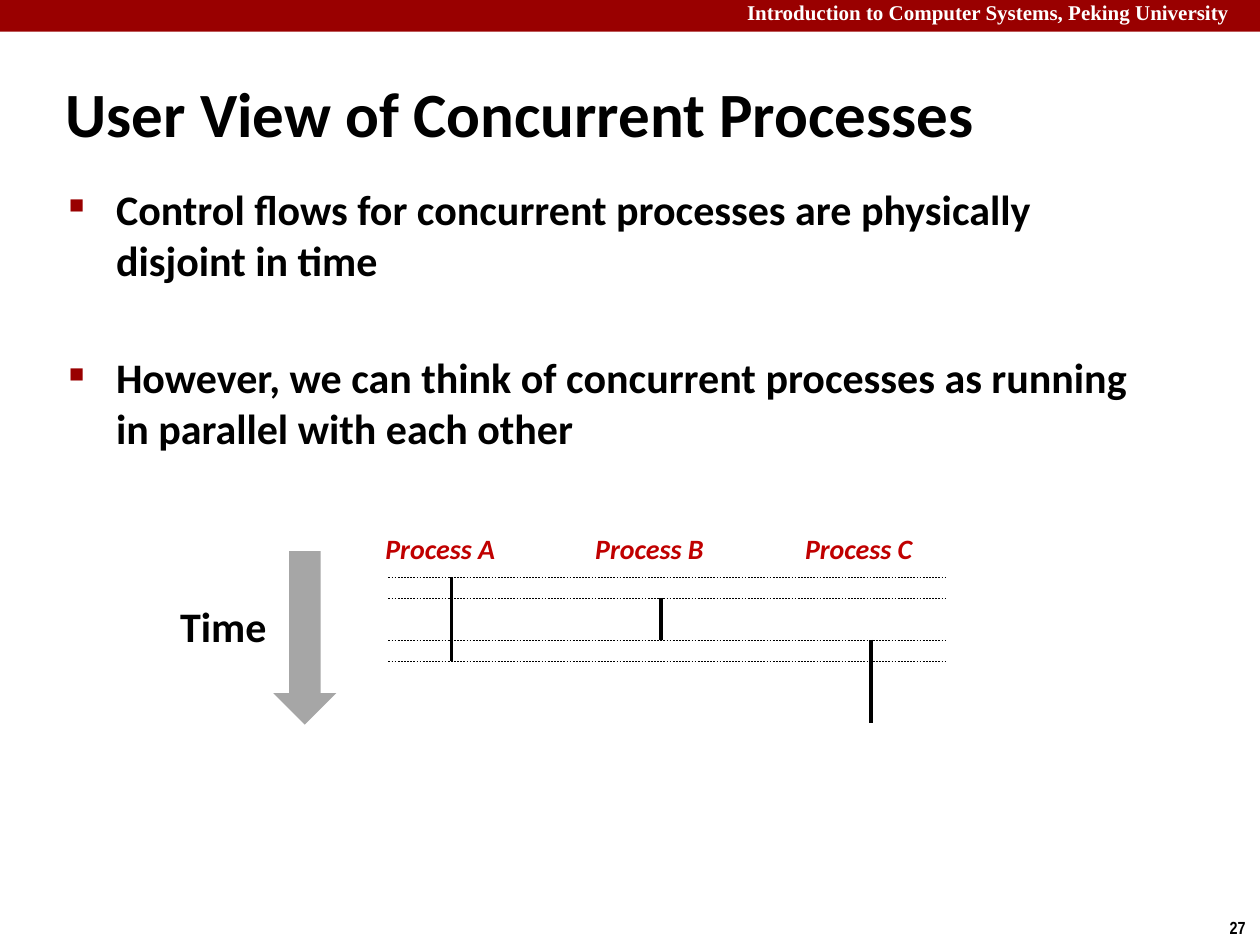
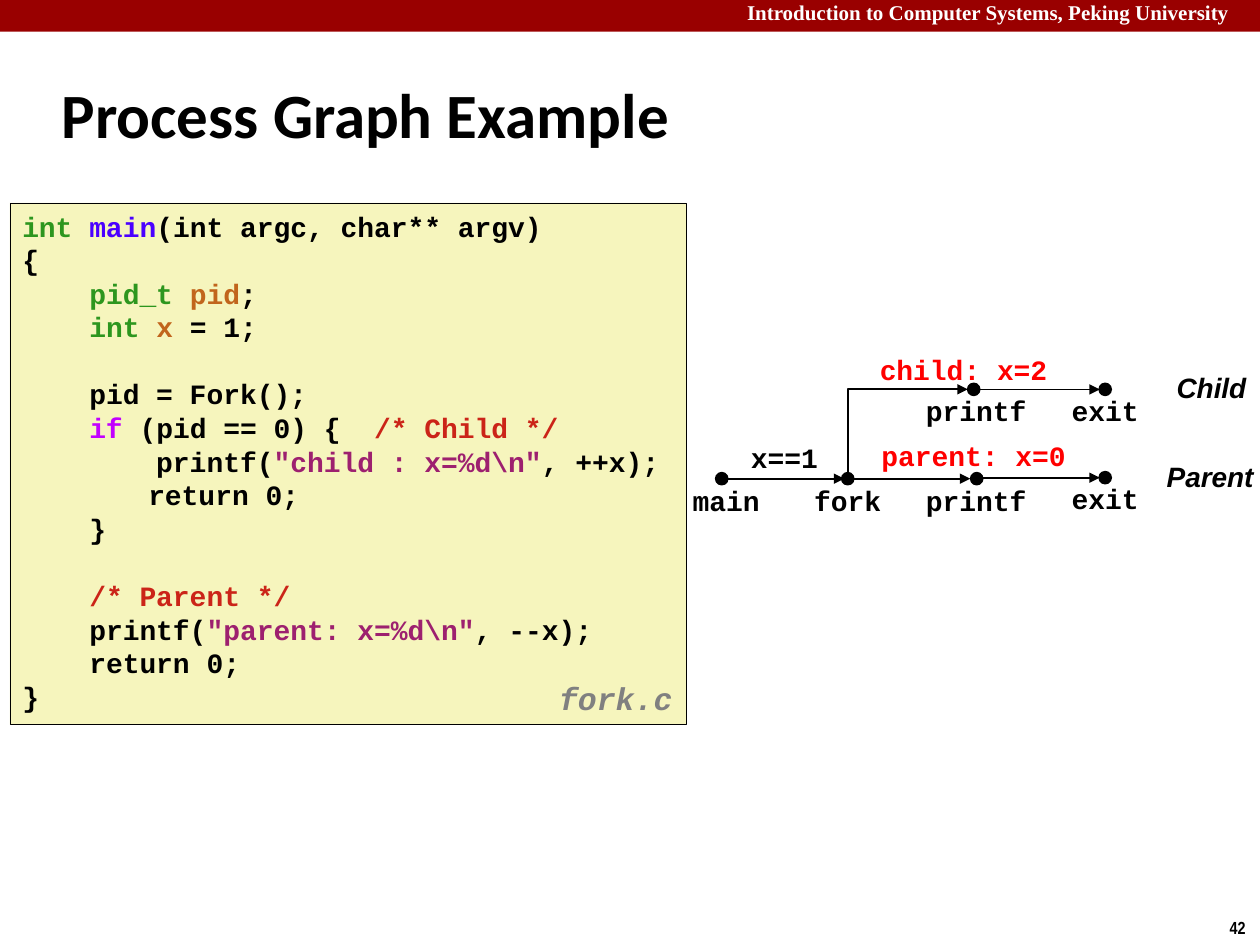
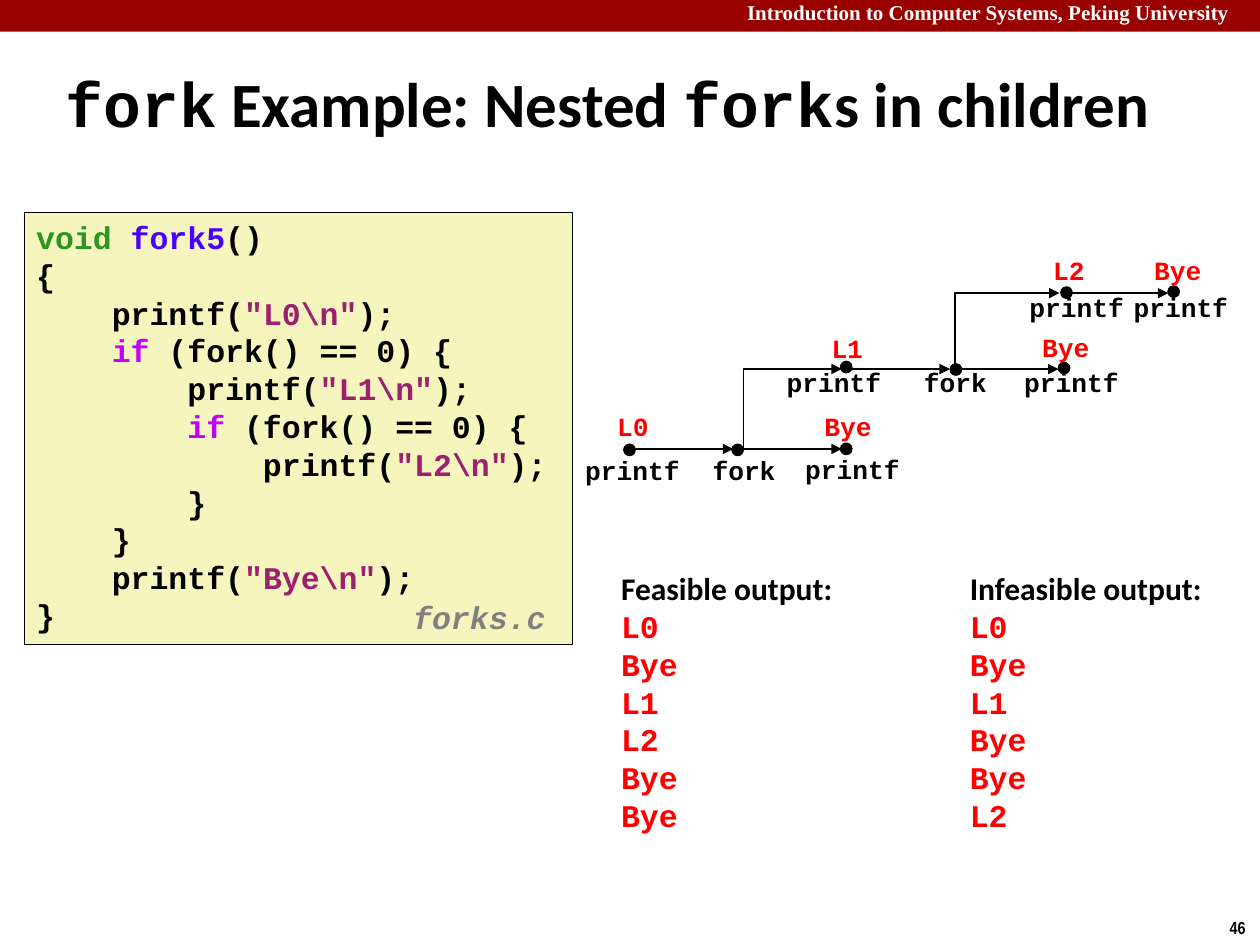
from typing import NamedTuple, Sequence

from lxml import etree
from pptx import Presentation
from pptx import util as u
from pptx.dml import color as dml_color
from pptx.enum import dml, shapes, text
from pptx.oxml import ns

BLACK, WHITE, RED, DARK_RED = "000000", "FFFFFF", "FF0000", "990000"
LABEL_RED, ARROW_GRAY, FILE_GRAY, CODE_FILL = "C00000", "A6A6A6", "808080", "F6F5BD"
TYPE, NAME, VARIABLE = "2D961E", "4A00FF", "C1651C"
KEYWORD, REMARK, STRING = "C200FF", "CB2418", "9D206F"
SANS, MONO, ARIAL = "Calibri", "Courier New", "Arial"
HEADER = "Introduction to Computer Systems, Peking University"


class Box(NamedTuple):
    left: float
    top: float
    width: float
    height: float

    def lengths(self) -> list:
        return [u.Cm(value) for value in self]


class Run(NamedTuple):
    text: str
    color: str = BLACK
    font: str = ""


class Line(NamedTuple):
    runs: Sequence[Run]
    space_before: float = 0
    bullet: bool = False
    tab: float = 0


class Style(NamedTuple):
    size: float
    font: str = SANS
    italic: bool = False
    align: text.PP_ALIGN = text.PP_ALIGN.LEFT
    wrap: bool = False


class Label(NamedTuple):
    text: str
    left: float
    top: float
    width: float
    color: str = BLACK


class Dot(NamedTuple):
    x: float
    y: float


class Arrow(NamedTuple):
    x1: float
    y1: float
    x2: float
    y2: float
    bent: bool = False


def rgb(value: str) -> dml_color.RGBColor:
    return dml_color.RGBColor.from_string(value)


def add_element(parent, tag: str, **attributes: str):
    return etree.SubElement(parent, ns.qn(tag), attributes)


def write_lines(frame, lines: Sequence[Line], style: Style) -> None:
    for index, line in enumerate(lines):
        paragraph = frame.paragraphs[0] if index == 0 else frame.add_paragraph()
        paragraph.alignment = style.align
        properties = paragraph._p.get_or_add_pPr()
        if line.bullet:
            properties.set("marL", str(u.Cm(0.95)))
            properties.set("indent", str(-u.Cm(0.95)))
            color = add_element(properties, "a:buClr")
            add_element(color, "a:srgbClr", val=DARK_RED)
            add_element(properties, "a:buSzPct", val="50000")
            add_element(properties, "a:buChar", char="■")
        if line.tab:
            tabs = add_element(properties, "a:tabLst")
            add_element(tabs, "a:tab", pos=str(u.Cm(line.tab)), algn="l")
        if all((run.font or style.font) == MONO for run in line.runs):
            paragraph.line_spacing = u.Pt(1.2 * style.size)
        if line.space_before:
            paragraph.space_before = u.Pt(line.space_before)
        for part in line.runs:
            run = paragraph.add_run()
            run.text = part.text
            run.font.name = part.font or style.font
            run.font.size = u.Pt(style.size)
            run.font.bold = True
            run.font.italic = style.italic
            run.font.color.rgb = rgb(part.color)


def add_text(slide, box: Box, lines: Sequence[Line], style: Style) -> None:
    frame = slide.shapes.add_textbox(*box.lengths()).text_frame
    frame.word_wrap = style.wrap
    if not style.wrap:
        frame.auto_size = text.MSO_AUTO_SIZE.SHAPE_TO_FIT_TEXT
    write_lines(frame, lines, style)


def add_label(slide, label: Label, height: float, style: Style) -> None:
    box = Box(label.left, label.top, label.width, height)
    add_text(slide, box, [Line([Run(label.text, label.color)])], style)


def add_shape(slide, kind, box: Box, fill: str, line_width: float = 0):
    shape = slide.shapes.add_shape(kind, *box.lengths())
    shape.shadow.inherit = False
    shape.fill.solid()
    shape.fill.fore_color.rgb = rgb(fill)
    if line_width:
        shape.line.color.rgb = rgb(BLACK)
        shape.line.width = u.Pt(line_width)
    else:
        shape.line.fill.background()
    return shape


def style_connector(connector, width: float):
    connector.line.color.rgb = rgb(BLACK)
    connector.line.width = u.Pt(width)
    add_element(connector._element.spPr, "a:effectLst")
    return connector


def add_line(slide, x1: float, y1: float, x2: float, y2: float, width: float):
    ends = [u.Cm(value) for value in (x1, y1, x2, y2)]
    connector = slide.shapes.add_connector(shapes.MSO_CONNECTOR.STRAIGHT, *ends)
    return style_connector(connector, width)


def add_up_then_right(slide, arrow: Arrow, width: float):
    center_x, center_y = (arrow.x1 + arrow.x2) / 2, (arrow.y1 + arrow.y2) / 2
    half_rise, half_run = (arrow.y1 - arrow.y2) / 2, (arrow.x2 - arrow.x1) / 2
    ends = (center_x + half_rise, center_y + half_run,
            center_x - half_rise, center_y - half_run)
    connector = slide.shapes.add_connector(
        shapes.MSO_CONNECTOR.ELBOW, *[u.Cm(value) for value in ends])
    properties = connector._element.spPr
    properties.find(ns.qn("a:xfrm")).set("rot", "5400000")
    properties.find(ns.qn("a:prstGeom")).set("prst", "bentConnector2")
    return style_connector(connector, width)


def add_graph(slide, dots: Sequence[Dot], diameter: float, arrows: Sequence[Arrow],
              labels: Sequence[Label], label_height: float, size: float) -> None:
    for dot in dots:
        box = Box(dot.x - diameter / 2, dot.y - diameter / 2, diameter, diameter)
        add_shape(slide, shapes.MSO_SHAPE.OVAL, box, BLACK, 0.75)
    for arrow in arrows:
        if arrow.bent:
            connector = add_up_then_right(slide, arrow, 1)
        else:
            connector = add_line(slide, *arrow[:4], 1)
        add_element(connector.line._get_or_add_ln(), "a:tailEnd", type="triangle")
    style = Style(size, MONO, align=text.PP_ALIGN.CENTER)
    for label in labels:
        add_label(slide, label, label_height, style)


def add_code(slide, box: Box, lines: Sequence[Line], size: float, file_label: Label) -> None:
    shape = add_shape(slide, shapes.MSO_SHAPE.RECTANGLE, box, CODE_FILL, 0.25)
    shape.text_frame.word_wrap = True
    shape.text_frame.vertical_anchor = text.MSO_ANCHOR.TOP
    write_lines(shape.text_frame, lines, Style(size, MONO))
    add_label(slide, file_label, 0.99, Style(18, MONO, italic=True))


def code_line(*runs: Run, space_before: float = 0, tab: float = 0) -> Line:
    return Line(runs, space_before, tab=tab)


def plain_line(code: str) -> Line:
    return code_line(Run(code))


def printf_line(indent: int, literal: str, ending: str = ");") -> Line:
    return code_line(Run(" " * indent + "printf("), Run(literal, STRING), Run(ending))


def if_line(indent: int, condition: str, remark: str = "") -> Line:
    runs = [Run(" " * indent), Run("if", KEYWORD), Run(condition)]
    if remark:
        runs.append(Run(remark, REMARK))
    return code_line(*runs)


def start_slide(presentation, title_box: Box, title: Sequence[Run], number: int):
    slide = presentation.slides.add_slide(presentation.slide_layouts[5])
    add_shape(slide, shapes.MSO_SHAPE.RECTANGLE, Box(0, 0, 25.4, 0.64), DARK_RED)
    add_text(slide, Box(14.81, -0.13, 10.59, 0.76), [Line([Run(HEADER, WHITE)])],
             Style(12, "Times New Roman", wrap=True))
    add_text(slide, Box(24.54, 18.36, 0.86, 0.69), [Line([Run(str(number))])],
             Style(10, "Arial Narrow"))
    placeholder = slide.shapes.title
    (placeholder.left, placeholder.top,
     placeholder.width, placeholder.height) = title_box.lengths()
    frame = placeholder.text_frame
    frame.word_wrap = True
    frame.auto_size = text.MSO_AUTO_SIZE.NONE
    frame.vertical_anchor = text.MSO_ANCHOR.MIDDLE
    write_lines(frame, [Line(title)], Style(36))
    return slide


def build_user_view(presentation) -> None:
    slide = start_slide(presentation, Box(1.07, 1.47, 23.5, 1.6),
                        [Run("User View of Concurrent Processes")], 27)
    bullets = [
        Line([Run("Control flows for concurrent processes are physically "
                  "disjoint in time")], bullet=True),
        Line([Run("However, we can think of concurrent processes as running "
                  "in parallel with each other")], 38.5, bullet=True),
    ]
    add_text(slide, Box(1.14, 3.58, 21.95, 5.54), bullets, Style(24, wrap=True))
    add_label(slide, Label("Time", 3.38, 11.99, 2.26), 1.27, Style(24))
    add_shape(slide, shapes.MSO_SHAPE.DOWN_ARROW, Box(5.51, 11.11, 1.27, 3.5), ARROW_GRAY)

    timeline_top, tick, column_gap = 11.64, 0.42, 4.23
    for tick_index in (0, 1, 3, 4):
        y = timeline_top + tick_index * tick
        guide = add_line(slide, 7.83, y, 19.05, y, 0.25)
        guide.line.dash_style = dml.MSO_LINE.DASH
    running = {"Process A": (0, 2), "Process B": (1,), "Process C": (3, 5)}
    for column, (process, starts) in enumerate(running.items()):
        offset = column * column_gap
        add_label(slide, Label(process, 7.52 + offset, 10.59, 2.76, LABEL_RED), 0.94,
                  Style(16, italic=True))
        for start in starts:
            y = timeline_top + start * tick
            add_line(slide, 9.1 + offset, y, 9.1 + offset, y + 2 * tick, 2)


def build_process_graph(presentation) -> None:
    slide = start_slide(presentation, Box(0.99, 1.22, 21.08, 2.11),
                        [Run("Process Graph Example")], 42)
    blank_line = 19.2
    code = [
        code_line(Run("int ", TYPE), Run("main", NAME), Run("(int argc, char** argv)")),
        plain_line("{"),
        code_line(Run("    pid_t ", TYPE), Run("pid", VARIABLE), Run(";")),
        code_line(Run("    int ", TYPE), Run("x", VARIABLE), Run(" = 1;")),
        code_line(Run("    pid = Fork();"), space_before=blank_line),
        if_line(4, " (pid == 0) {  ", "/* Child */"),
        printf_line(8, '"child : x=%d\\n"', ", ++x);"),
        code_line(Run("\treturn 0;"), tab=2.54),
        plain_line("    }"),
        code_line(Run("    /* Parent */", REMARK), space_before=blank_line),
        printf_line(4, '"parent: x=%d\\n"', ", --x);"),
        plain_line("    return 0;"),
        plain_line("}"),
    ]
    add_code(slide, Box(0.2, 4.09, 13.64, 10.52), code, 16,
             Label("fork.c", 11.02, 13.56, 2.97, FILE_GRAY))
    child_y, parent_y = 7.85, 9.65
    dots = [Dot(14.55, parent_y), Dot(17.09, parent_y), Dot(19.69, parent_y),
            Dot(22.28, 9.63), Dot(19.63, child_y), Dot(22.28, child_y)]
    arrows = [
        Arrow(14.68, parent_y, 17.02, parent_y),
        Arrow(17.22, parent_y, 19.56, parent_y),
        Arrow(19.74, 9.63, 22.17, 9.63),
        Arrow(17.09, 9.63, 19.51, child_y, bent=True),
        Arrow(19.74, child_y, 22.17, child_y),
    ]
    labels = [
        Label("main", 13.59, 9.63, 2.1),
        Label("fork", 16.04, 9.63, 2.1),
        Label("printf", 18.36, 9.63, 2.64),
        Label("exit", 20.96, 9.58, 2.64),
        Label("printf", 18.36, 7.8, 2.64),
        Label("exit", 20.96, 7.8, 2.64),
        Label("x==1", 14.71, 8.76, 2.21),
        Label("child: x=2", 16.87, 6.99, 5.11, RED),
        Label("parent: x=0", 17.07, 8.71, 5.11, RED),
    ]
    add_graph(slide, dots, 0.25, arrows, labels, 0.94, 16)
    for label in (Label("Parent", 23.27, 9.14, 2.34), Label("Child", 23.47, 7.34, 1.96)):
        add_label(slide, label, 0.94, Style(16, ARIAL, italic=True))


def build_nested_forks(presentation) -> None:
    title = [Run("fork", font=MONO), Run(" Example: Nested "),
             Run("fork", font=MONO), Run("s in children")]
    slide = start_slide(presentation, Box(1.07, 1.27, 23.42, 1.6), title, 46)
    code = [
        code_line(Run("void ", TYPE), Run("fork5", NAME), Run("()")),
        plain_line("{"),
        printf_line(4, '"L0\\n"'),
        if_line(4, " (fork() == 0) {"),
        printf_line(8, '"L1\\n"'),
        if_line(8, " (fork() == 0) {"),
        printf_line(12, '"L2\\n"'),
        plain_line("        }"),
        plain_line("    }"),
        printf_line(4, '"Bye\\n"'),
        plain_line("}"),
    ]
    add_code(slide, Box(0.48, 4.27, 11.05, 8.71), code, 18,
             Label("forks.c", 8.08, 11.94, 3.35, FILE_GRAY))
    low, middle, high = 9.05, 7.44, 5.91
    dots = [Dot(12.69, 9.07), Dot(14.87, 9.07), Dot(17.06, low), Dot(17.06, 7.4),
            Dot(19.27, 7.45), Dot(21.45, 7.42), Dot(21.5, 5.9), Dot(23.66, 5.88)]
    arrows = [
        Arrow(12.8, low, 14.78, low),
        Arrow(14.99, low, 16.97, low),
        Arrow(14.99, low, 16.97, middle, bent=True),
        Arrow(17.17, middle, 19.15, middle),
        Arrow(19.35, middle, 21.34, middle),
        Arrow(19.25, middle, 21.36, high, bent=True),
        Arrow(21.56, high, 23.55, high),
    ]
    labels = [
        Label("printf", 11.53, 9.04, 2.44),
        Label("fork", 13.95, 9.04, 2.1),
        Label("printf", 15.9, 9.02, 2.57),
        Label("printf", 15.44, 7.26, 2.74),
        Label("fork", 18.14, 7.26, 2.24),
        Label("printf", 20.19, 7.26, 2.82),
        Label("printf", 20.37, 5.74, 2.67),
        Label("printf", 22.56, 5.74, 2.49),
        Label("L0", 12.19, 8.15, 1.14, RED),
        Label("Bye", 16.36, 8.15, 1.47, RED),
        Label("L1", 16.51, 6.58, 1.14, RED),
        Label("Bye", 20.75, 6.55, 1.47, RED),
        Label("L2", 20.98, 5, 1.14, RED),
        Label("Bye", 23.01, 5, 1.47, RED),
    ]
    add_graph(slide, dots, 0.23, arrows, labels, 0.89, 15)
    outputs = [
        (Label("Feasible output:", 12.27, 11.35, 4.83), "L0 Bye L1 L2 Bye Bye"),
        (Label("Infeasible output:", 19.3, 11.35, 5.26), "L0 Bye L1 Bye Bye L2"),
    ]
    for heading, printed in outputs:
        lines = [Line([Run(heading.text)])]
        lines += [Line([Run(word, RED, MONO)]) for word in printed.split()]
        add_text(slide, Box(heading.left, heading.top, heading.width, 5.64), lines, Style(18))


def main() -> None:
    presentation = Presentation()
    presentation.slide_width = u.Cm(25.4)
    presentation.slide_height = u.Cm(19.05)
    build_user_view(presentation)
    build_process_graph(presentation)
    build_nested_forks(presentation)
    presentation.save("out.pptx")


if __name__ == "__main__":
    main()
